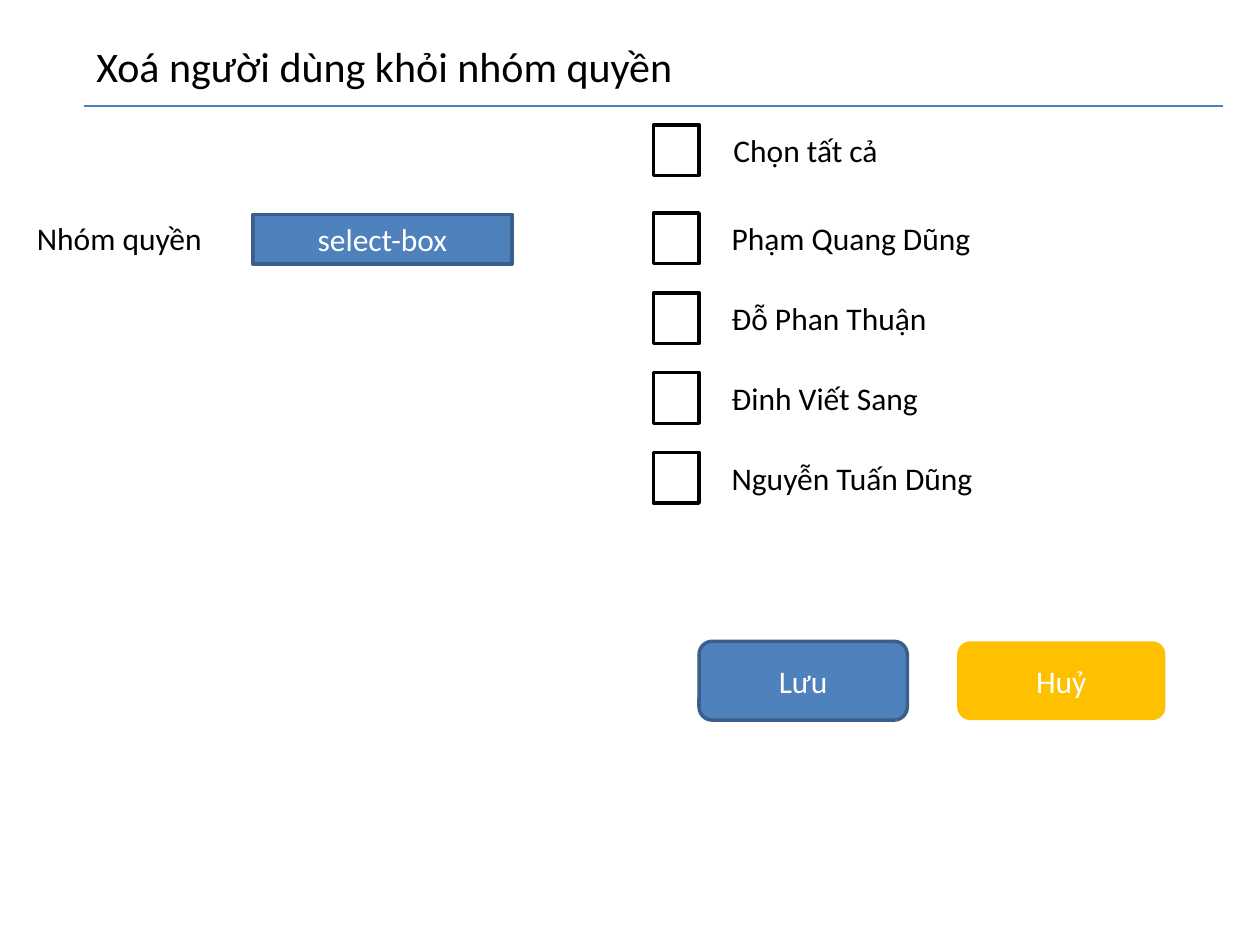
from pptx import Presentation
from pptx.dml.color import RGBColor
from pptx.enum.shapes import MSO_CONNECTOR, MSO_SHAPE
from pptx.enum.text import MSO_ANCHOR, MSO_AUTO_SIZE, PP_ALIGN
from pptx.oxml.ns import qn
from pptx.util import Pt

FONT = "Calibri"
BLACK, WHITE = "000000", "FFFFFF"
BLUE, DARK_BLUE, AMBER, RULE_BLUE = "4F81BD", "3A5F8C", "FFC000", "4B7EBC"


def rgb(value):
    """Turn a hex string into a colour."""
    return RGBColor.from_string(value)


def add_run(p, text, size, color):
    """Append one formatted run to a paragraph."""
    r = p.add_run()
    r.text = text
    r.font.name = FONT
    r.font.size = Pt(size)
    r.font.color.rgb = rgb(color)


def add_label(s, text, left, top, width, height=29, size=18):
    """Add a left-aligned text box."""
    tf = s.shapes.add_textbox(Pt(left), Pt(top), Pt(width), Pt(height)).text_frame
    tf.word_wrap = True
    tf.auto_size = MSO_AUTO_SIZE.SHAPE_TO_FIT_TEXT
    add_run(tf.paragraphs[0], text, size, BLACK)


def add_box(s, kind, left, top, width, height, fill=None, line=None, text=None):
    """Add a flat shape with optional fill, outline and centred text."""
    sp = s.shapes.add_shape(kind, Pt(left), Pt(top), Pt(width), Pt(height))
    sp.shadow.inherit = False
    if fill:
        sp.fill.solid()
        sp.fill.fore_color.rgb = rgb(fill)
    else:
        sp.fill.background()
    if line:
        sp.line.color.rgb = rgb(line)
        sp.line.width = Pt(2)
    else:
        sp.line.fill.background()
    if text:
        tf = sp.text_frame
        tf.vertical_anchor = MSO_ANCHOR.MIDDLE
        p = tf.paragraphs[0]
        p.alignment = PP_ALIGN.CENTER
        add_run(p, text, 18, WHITE)


def add_rule(s, left, right, y):
    """Add a thin horizontal line."""
    cxn = s.shapes.add_connector(MSO_CONNECTOR.STRAIGHT, Pt(left), Pt(y), Pt(right), Pt(y))
    cxn.line.color.rgb = rgb(RULE_BLUE)
    cxn.line.width = Pt(0.75)
    sp_pr = cxn._element.spPr
    sp_pr.append(sp_pr.makeelement(qn("a:effectLst"), {}))


def add_checkbox(s, text, top, label_left=411):
    """Add an empty checkbox with its label."""
    add_box(s, MSO_SHAPE.RECTANGLE, 373.5, top, 26, 29, line=BLACK)
    add_label(s, text, label_left, top, 294.5)


def main():
    """Build the slide and save it."""
    prs = Presentation()
    prs.slide_width, prs.slide_height = Pt(720), Pt(540)
    s = prs.slides.add_slide(prs.slide_layouts[6])

    add_label(s, "Xoá người dùng khỏi nhóm quyền", 48, 19.5, 651, 36, 24)
    add_rule(s, 48, 699, 60.5)

    add_box(s, MSO_SHAPE.RECTANGLE, 144.5, 122.5, 148, 28.5, BLUE, DARK_BLUE, "select-box")
    add_label(s, "Nhóm quyền", 14, 121.7, 199)

    add_checkbox(s, "Chọn tất cả", 71.3, 412)
    users = ["Phạm Quang Dũng", "Đỗ Phan Thuận", "Đinh Viết Sang", "Nguyễn Tuấn Dũng"]
    for i, user in enumerate(users):
        add_checkbox(s, user, 121.7 + 45.6 * i)

    buttons = [("Lưu", 399.5, BLUE, DARK_BLUE), ("Huỷ", 547, AMBER, None)]
    for text, left, fill, line in buttons:
        add_box(s, MSO_SHAPE.ROUNDED_RECTANGLE, left, 366.5, 119, 45, fill, line, text)

    prs.save("out.pptx")


main()
